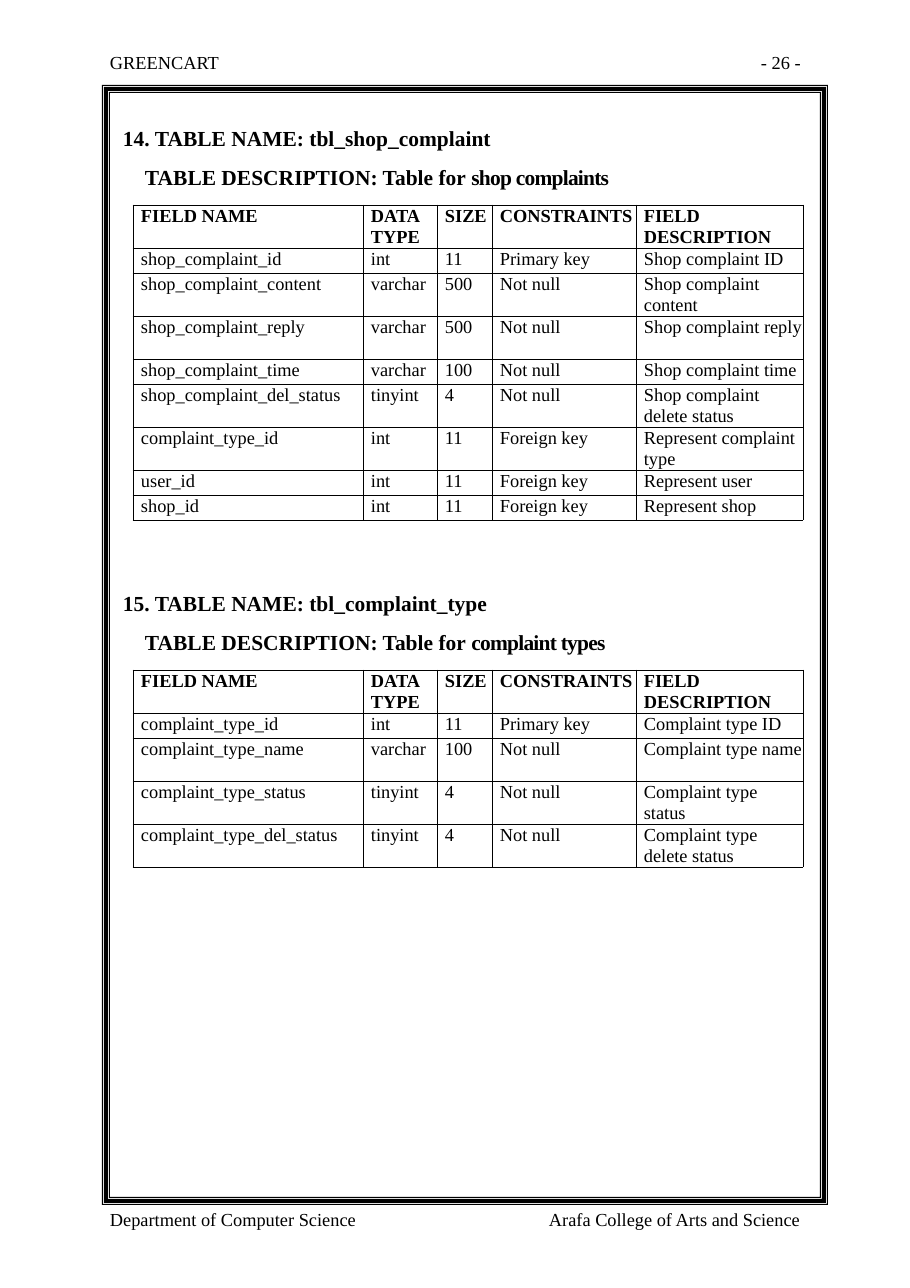
import pptx
import pptx.util
import pptx.dml.color
import pptx.enum.text
import pptx.oxml.ns
from lxml import etree

PX = 8298  # EMU per px
BLACK = pptx.dml.color.RGBColor(0, 0, 0)
FONT = "Times New Roman"

COL_WIDTHS = [230, 74, 55, 144, 167]
ROW_HEIGHT, TALL_ROW_HEIGHT = 25, 43
HEADER = ["FIELD NAME", "DATA\nTYPE", "SIZE", "CONSTRAINTS", "FIELD DESCRIPTION"]
WRAP_LENGTH = 19  # longest description that stays on one line

SHOP_COMPLAINT = [
    ["shop_complaint_id", "int", "11", "Primary key", "Shop complaint ID"],
    ["shop_complaint_content", "varchar", "500", "Not null", "Shop complaint content"],
    ["shop_complaint_reply", "varchar", "500", "Not null", "Shop complaint reply"],
    ["shop_complaint_time", "varchar", "100", "Not null", "Shop complaint time"],
    ["shop_complaint_del_status", "tinyint", "4", "Not null", "Shop complaint delete status"],
    ["complaint_type_id", "int", "11", "Foreign key", "Represent complaint type"],
    ["user_id", "int", "11", "Foreign key", "Represent user"],
    ["shop_id", "int", "11", "Foreign key", "Represent shop"],
]
COMPLAINT_TYPE = [
    ["complaint_type_id", "int", "11", "Primary key", "Complaint type ID"],
    ["complaint_type_name", "varchar", "100", "Not null", "Complaint type name"],
    ["complaint_type_status", "tinyint", "4", "Not null", "Complaint type status"],
    ["complaint_type_del_status", "tinyint", "4", "Not null", "Complaint type delete status"],
]
TALL_DESCRIPTIONS = {"Shop complaint reply", "Complaint type name", "Complaint type status"}


def px(n):
    return pptx.util.Emu(n * PX)


def style(p, size, bold=False, line=None):
    p.alignment = pptx.enum.text.PP_ALIGN.LEFT
    if line:
        p.line_spacing = pptx.util.Pt(line)
    p.font.name = FONT
    p.font.size = pptx.util.Pt(size)
    p.font.bold = bold
    p.font.color.rgb = BLACK


def setup_frame(tf, left=1, top=0):
    tf.word_wrap = True
    tf.auto_size = pptx.enum.text.MSO_AUTO_SIZE.NONE
    tf.vertical_anchor = pptx.enum.text.MSO_ANCHOR.TOP
    tf.margin_left, tf.margin_top = px(left), px(top)
    tf.margin_right = tf.margin_bottom = 0


def add_label(slide, x, y, w, text, top=0, line=None):
    tf = slide.shapes.add_textbox(px(x), px(y), px(w), px(24)).text_frame
    setup_frame(tf, top=top)
    tf.text = text
    style(tf.paragraphs[0], 12, line=line)


def fill_heading(sp, y, name, subject):
    sp.left, sp.top, sp.width, sp.height = px(121), px(y), px(663), px(80)
    tf = sp.text_frame
    setup_frame(tf, left=2, top=14)
    tf.text = "TABLE NAME: ".join(name)
    p = tf.add_paragraph()
    p.add_run().text = "TABLE DESCRIPTION: Table for "
    r = p.add_run()
    r.text = subject
    r._r.get_or_add_rPr().set("spc", "-50")
    p._p.get_or_add_pPr().set("marL", str(px(22)))
    p.space_before = pptx.util.Pt(8.6)
    for p in tf.paragraphs:
        style(p, 14, bold=True)


def add_page_border(slide, x, y, w, h):
    # Nested outlines with alternating direction leave thin, thick and thin rings
    builder = None
    for i, inset in enumerate([0, 1, 2, 6, 7, 8]):
        x1, y1, x2, y2 = x + inset, y + inset, x + w - inset, y + h - inset
        corners = [(x2, y1), (x2, y2), (x1, y2)]
        if builder is None:
            builder = slide.shapes.build_freeform(x1, y1, scale=PX)
        else:
            builder.move_to(x1, y1)
        builder.add_line_segments(corners[::-1] if i % 2 else corners, close=True)
    sp = builder.convert_to_shape()
    sp.fill.solid()
    sp.fill.fore_color.rgb = BLACK
    sp.line.fill.background()
    sp.shadow.inherit = False


def add_borders(cell):
    qn = pptx.oxml.ns.qn
    tcPr = cell._tc.get_or_add_tcPr()
    for side in ("a:lnL", "a:lnR", "a:lnT", "a:lnB"):
        ln = etree.SubElement(tcPr, qn(side), w=str(pptx.util.Pt(0.5)))
        fill = etree.SubElement(ln, qn("a:solidFill"))
        etree.SubElement(fill, qn("a:srgbClr"), val=str(BLACK))


def row_height(description):
    tall = len(description) > WRAP_LENGTH or description in TALL_DESCRIPTIONS
    return TALL_ROW_HEIGHT if tall else ROW_HEIGHT


def add_field_table(slide, y, fields):
    rows = [HEADER] + fields
    heights = [TALL_ROW_HEIGHT] + [row_height(f[-1]) for f in fields]
    table = slide.shapes.add_table(len(rows), len(HEADER), px(133), px(y),
                                   px(sum(COL_WIDTHS)), px(sum(heights))).table
    table.first_row = table.horz_banding = False
    for col, width in zip(table.columns, COL_WIDTHS):
        col.width = px(width)
    for i, (row, height, texts) in enumerate(zip(table.rows, heights, rows)):
        row.height = px(height)
        for cell, text in zip(row.cells, texts):
            cell.margin_left = px(8)
            cell.margin_right = cell.margin_top = cell.margin_bottom = 0
            add_borders(cell)
            cell.fill.background()
            cell.text = text
            for p in cell.text_frame.paragraphs:
                style(p, 12, bold=i == 0, line=14 if i else 13.8)


def main():
    prs = pptx.Presentation()
    prs.slide_width, prs.slide_height = px(910), px(1288)
    slide = prs.slides.add_slide(prs.slide_layouts[5])

    # Page header, border and footer
    add_label(slide, 109, 50, 197, "GREENCART", top=1)
    add_label(slide, 760, 50, 50, "- 26 -", top=1)
    add_page_border(slide, 102, 85, 726, 1120)
    add_label(slide, 109, 1209, 249, "Department of Computer Science", line=14.1)
    add_label(slide, 548, 1209, 256, "Arafa College of Arts and Science", line=14.1)

    # Shop complaint table
    fill_heading(slide.shapes.title, 111, ("14. ", "tbl_shop_complaint"), "shop complaints")
    add_field_table(slide, 205, SHOP_COMPLAINT)

    # Complaint type table
    box = slide.shapes.add_textbox(0, 0, 0, 0)
    fill_heading(box, 576, ("15. ", "tbl_complaint_type"), "complaint types")
    add_field_table(slide, 670, COMPLAINT_TYPE)

    prs.save("out.pptx")


if __name__ == "__main__":
    main()
